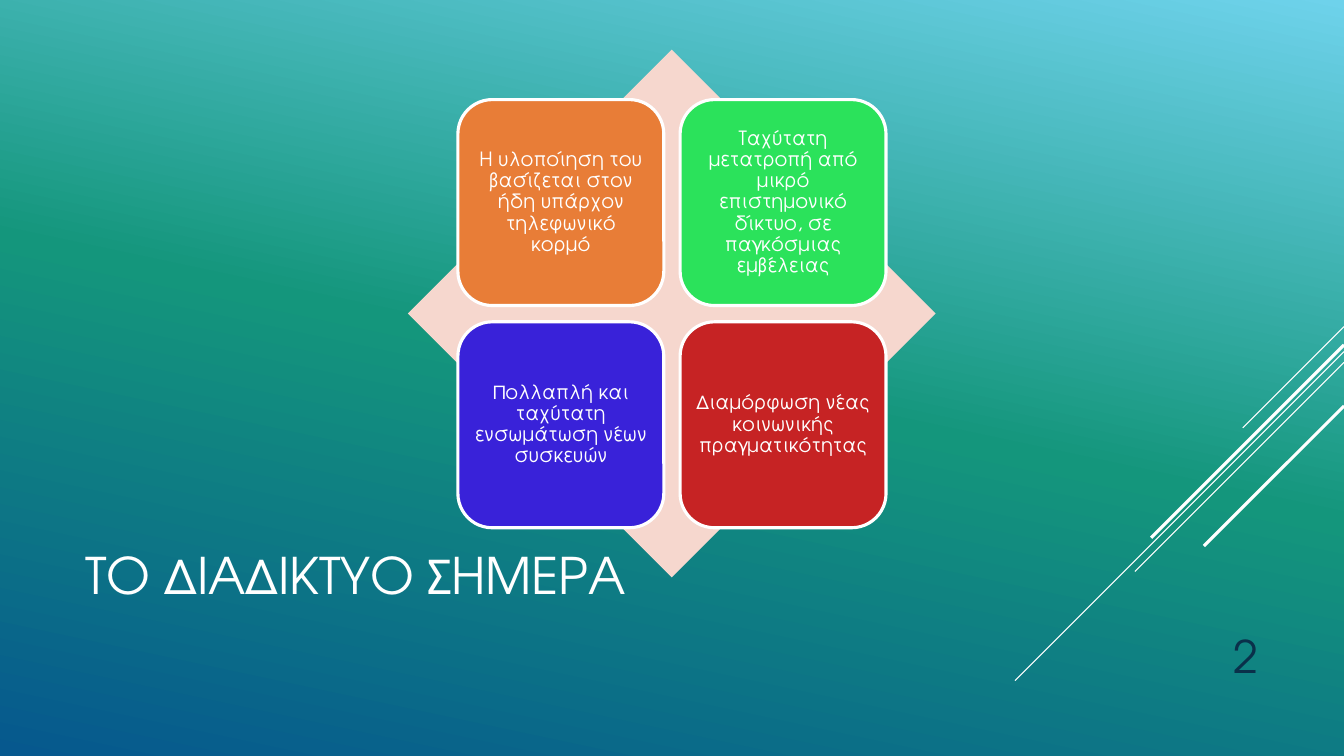
from copy import deepcopy
from lxml.etree import SubElement
from pptx import Presentation
from pptx.dml.color import RGBColor
from pptx.enum.shapes import MSO_CONNECTOR, MSO_SHAPE
from pptx.enum.text import MSO_ANCHOR, PP_ALIGN
from pptx.oxml.ns import qn
from pptx.util import Cm, Pt

WHITE = "FFFFFF"


def tint(code):
    return RGBColor.from_string(code)


def write(shape, text, size, code, align, anchor):
    frame = shape.text_frame
    frame.word_wrap = True
    frame.vertical_anchor = anchor
    para = frame.paragraphs[0]
    para.alignment = align
    para.line_spacing = 0.9
    run = para.add_run()
    run.text = text
    run.font.name = "TeX Gyre Adventor"
    run.font.size = Pt(size)
    run.font.color.rgb = tint(code)


deck = Presentation()
deck.slide_width, deck.slide_height = Cm(33.87), Cm(19.05)
slide = deck.slides.add_slide(deck.slide_layouts[6])
shapes = slide.shapes

# Background gradient with three stops
fill = slide.background.fill
fill.gradient()
fill.gradient_angle = 258
stops = slide.element.xpath(".//a:gsLst")[0]
stops.append(deepcopy(stops[0]))
shades = [(0, "6ED2EB"), (0.5, "14967C"), (1, "06588E")]
for stop, (place, code) in zip(fill.gradient_stops, shades):
    stop.position = place
    stop.color.rgb = tint(code)

# Diagonal lines from the right edge: top, run, width
rays = [(8.23, 2.55, 0.75), (8.86, 8.29, 0.75), (9.13, 5.27, 0.75),
        (8.69, 4.86, 2.25), (10.23, 3.53, 2.25)]
for top, reach, width in rays:
    ray = shapes.add_connector(MSO_CONNECTOR.STRAIGHT, Cm(33.87), Cm(top),
                               Cm(33.87 - reach), Cm(top + reach))
    ray.line.color.rgb = tint(WHITE)
    ray.line.width = Pt(width)
    SubElement(ray.element.spPr, qn("a:effectLst"))

# Title
title = shapes.add_textbox(Cm(1.9), Cm(12.47), Cm(23.7), Cm(4.19))
write(title, "ΤΟ ΔΙΑΔΙΚΤΥΟ ΣΗΜΕΡΑ", 36, WHITE, PP_ALIGN.LEFT, MSO_ANCHOR.MIDDLE)

# Diamond behind the tiles
gem = shapes.add_shape(MSO_SHAPE.DIAMOND, Cm(10.28), Cm(1.25), Cm(13.3), Cm(13.3))
gem.shadow.inherit = False
gem.fill.solid()
gem.fill.fore_color.rgb = tint("F6D7CE")
gem.line.fill.background()

# Two by two tiles
tiles = [
    ("E87D37", "Η υλοποίηση του βασίζεται στον ήδη υπάρχον τηλεφωνικό κορμό"),
    ("2BE25B", "Ταχύτατη μετατροπή από μικρό επιστημονικό δίκτυο, σε παγκόσμιας εμβέλειας"),
    ("3922D9", "Πολλαπλή και ταχύτατη ενσωμάτωση νέων συσκευών"),
    ("C62324", "Διαμόρφωση νέας κοινωνικής πραγματικότητας"),
]
side, step = 5.19, 5.6
for i, (code, text) in enumerate(tiles):
    row, col = divmod(i, 2)
    tile = shapes.add_shape(MSO_SHAPE.ROUNDED_RECTANGLE, Cm(11.54 + col * step),
                            Cm(2.51 + row * step), Cm(side), Cm(side))
    tile.shadow.inherit = False
    tile.fill.solid()
    tile.fill.fore_color.rgb = tint(code)
    tile.line.color.rgb = tint(WHITE)
    tile.line.width = Pt(2.25)
    frame = tile.text_frame
    # The rounded corners already inset the text by about 0.25 cm
    frame.margin_left = frame.margin_right = Cm(0.15)
    frame.margin_top = frame.margin_bottom = Cm(0.15)
    write(tile, text, 14, WHITE, PP_ALIGN.CENTER, MSO_ANCHOR.MIDDLE)

# Slide number
number = shapes.add_textbox(Cm(28.78), Cm(15.49), Cm(3.18), Cm(1.85))
write(number, "2", 32, "0A304A", PP_ALIGN.RIGHT, MSO_ANCHOR.BOTTOM)

deck.save("out.pptx")
